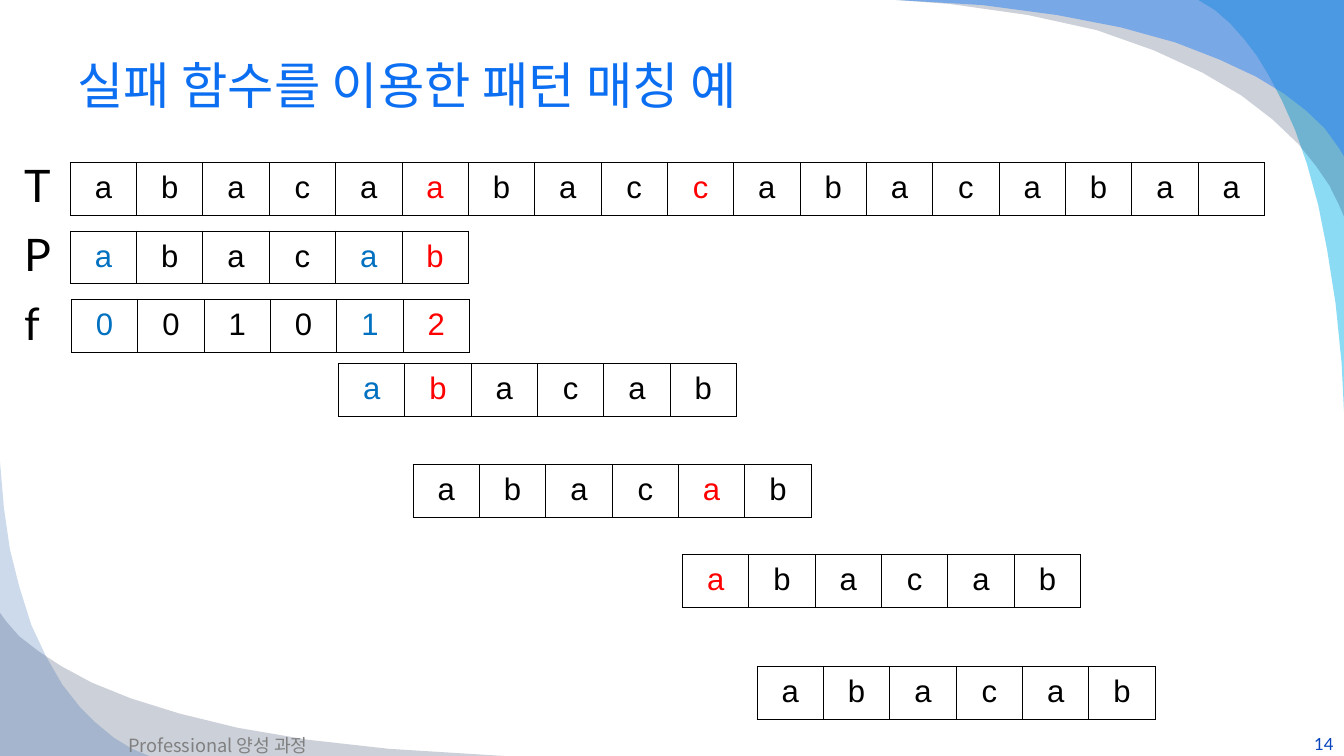
"""Builds a slide tracing pattern matching with the failure function."""
from dataclasses import dataclass

from lxml import etree
from pptx import Presentation
from pptx import util as u
from pptx.dml.color import RGBColor
from pptx.enum import text
from pptx.oxml import ns


@dataclass(frozen=True)
class Theme:
    title: str = "0C6FF2"
    number: str = "0743BC"
    footer: str = "808080"
    ink: str = "000000"
    matched: str = "0070C0"
    mismatch: str = "FF0000"
    cyan: str = "00B1E9"
    navy: str = "021741"
    blue: str = "247FF4"
    steel: str = "084AA1"
    title_size: float = 36
    label_size: float = 32
    cell_size: float = 22.2
    footer_size: float = 13
    number_size: float = 12
    font: str = "Lato"
    cell_font: str = "Arial"
    korean_font: str = "Noto Sans CJK KR"


theme = Theme()


def write(frame, words, size, color, font, align=text.PP_ALIGN.LEFT):
    frame.text = words
    para = frame.paragraphs[0]
    para.alignment = align
    span = para.runs[0]
    span.font.size = u.Pt(size)
    span.font.name = font
    span.font.color.rgb = RGBColor.from_string(color)
    east_asian = etree.SubElement(span.font._element, ns.qn("a:ea"))
    east_asian.set("typeface", theme.korean_font)
    return para


def outline_cell(cell):
    properties = cell._tc.get_or_add_tcPr()
    for index, side in enumerate(("a:lnL", "a:lnR", "a:lnT", "a:lnB")):
        line = etree.Element(ns.qn(side), w=str(u.Pt(0.75)))
        fill = etree.SubElement(line, ns.qn("a:solidFill"))
        etree.SubElement(fill, ns.qn("a:srgbClr"), val=theme.ink)
        properties.insert(index, line)


deck = Presentation()
deck.slide_width, deck.slide_height = u.Cm(33.87), u.Cm(19.05)
page = deck.slides.add_slide(deck.slide_layouts[5])

waves = [
    (theme.cyan, 45, [
        (33.87, 10.36), (33.87, 0), (30.2, 0), (30.61, 0.25), (30.99, 0.58),
        (31.34, 0.97), (31.67, 1.4), (31.98, 1.91), (32.31, 2.54), (32.64, 3.28),
        (32.94, 4.14), (33.22, 5.16), (33.45, 6.32), (33.66, 7.65), (33.81, 9.14)]),
    (theme.navy, 20, [
        (22.58, 0), (33.87, 0), (33.87, 5.46), (33.73, 5.13), (33.5, 4.67),
        (33.17, 4.19), (32.72, 3.63), (32.08, 3.02), (31.29, 2.41), (30.3, 1.83),
        (29.08, 1.27), (27.64, 0.76), (25.91, 0.38), (23.93, 0.1)]),
    (theme.blue, 49, [
        (22.58, 0), (33.87, 0), (33.87, 3.94), (33.73, 3.71), (33.38, 3.23),
        (32.92, 2.79), (32.36, 2.36), (31.65, 1.93), (30.73, 1.5), (29.62, 1.07),
        (28.24, 0.69), (26.64, 0.38), (24.77, 0.13)]),
    (theme.navy, 20, [
        (12.7, 19.05), (0, 19.05), (0, 15.44), (0.15, 15.65), (0.48, 16.03),
        (0.97, 16.41), (1.55, 16.79), (2.31, 17.2), (3.3, 17.6), (4.52, 17.98),
        (5.99, 18.34), (7.75, 18.64), (9.8, 18.87)]),
    (theme.steel, 20, [
        (0, 11.63), (0, 19.05), (3.76, 19.05), (3.33, 18.87), (2.87, 18.59),
        (2.41, 18.21), (2.01, 17.81), (1.57, 17.25), (1.17, 16.56), (0.79, 15.75),
        (0.48, 14.76), (0.25, 13.84), (0.1, 12.8)]),
]
for color, opacity, points in waves:
    corners = [(u.Cm(x), u.Cm(y)) for x, y in points]
    builder = page.shapes.build_freeform(*corners[0])
    builder.add_line_segments(corners[1:], close=True)
    wave = builder.convert_to_shape()
    wave.shadow.inherit = False
    wave.line.fill.background()
    wave.fill.solid()
    wave.fill.fore_color.rgb = RGBColor.from_string(color)
    tint = wave._element.spPr.find(".//" + ns.qn("a:srgbClr"))
    etree.SubElement(tint, ns.qn("a:alpha"), val=str(opacity * 1000))

title = page.shapes.title
title.left, title.top, title.width, title.height = u.Cm(1.7), u.Cm(0.84), u.Cm(30.48), u.Cm(2.56)
title.text_frame.auto_size = text.MSO_AUTO_SIZE.NONE
title.text_frame.vertical_anchor = text.MSO_ANCHOR.MIDDLE
write(title.text_frame, "실패 함수를 이용한 패턴 매칭 예", theme.title_size, theme.title, theme.font)

cell_width, cell_height = u.Cm(30.1 / 18), u.Cm(1.33)
shades = {"-": theme.ink, "m": theme.matched, "x": theme.mismatch}
strips = [
    (1.77, 4.09, "abacaabaccabacabaa", "-----x---x--------"),
    (1.77, 5.82, "abacab", "m---mx"),
    (1.8, 7.54, "001012", "m---mx"),
    (8.53, 9.17, "abacab", "mx----"),
    (10.41, 11.71, "abacab", "----x-"),
    (17.2, 13.97, "abacab", "x-----"),
    (19.08, 16.79, "abacab", "------"),
]
for left, top, letters, marks in strips:
    table = page.shapes.add_table(
        1, len(letters), u.Cm(left), u.Cm(top), cell_width * len(letters), cell_height).table
    table.first_row = table.horz_banding = False
    for column, letter, mark in zip(table.columns, letters, marks):
        column.width = cell_width
    for cell, letter, mark in zip(table.iter_cells(), letters, marks):
        cell.margin_left = cell.margin_right = u.Cm(0.1)
        cell.margin_top = cell.margin_bottom = u.Cm(0.08)
        cell.fill.background()
        outline_cell(cell)
        para = write(cell.text_frame, letter, theme.cell_size, shades[mark],
                     theme.cell_font, text.PP_ALIGN.CENTER)
        para.line_spacing = 1.14

for label, top in (("T", 3.84), ("P", 5.59), ("f", 7.32)):
    box = page.shapes.add_textbox(u.Cm(0.36), u.Cm(top), u.Cm(1.4), u.Cm(1.63))
    box.text_frame.word_wrap = True
    write(box.text_frame, label, theme.label_size, theme.ink, theme.font)

footers = [
    ("Professional 양성 과정", 0.13, 18.26, 10.72, theme.footer_size, theme.footer,
     theme.korean_font, text.PP_ALIGN.CENTER),
    ("14", 25.96, 18.24, 7.9, theme.number_size, theme.number,
     theme.font, text.PP_ALIGN.RIGHT),
]
for words, left, top, width, size, color, font, align in footers:
    box = page.shapes.add_textbox(u.Cm(left), u.Cm(top), u.Cm(width), u.Cm(1.02))
    box.text_frame.word_wrap = True
    box.text_frame.vertical_anchor = text.MSO_ANCHOR.MIDDLE
    write(box.text_frame, words, size, color, font, align)

deck.save("out.pptx")
